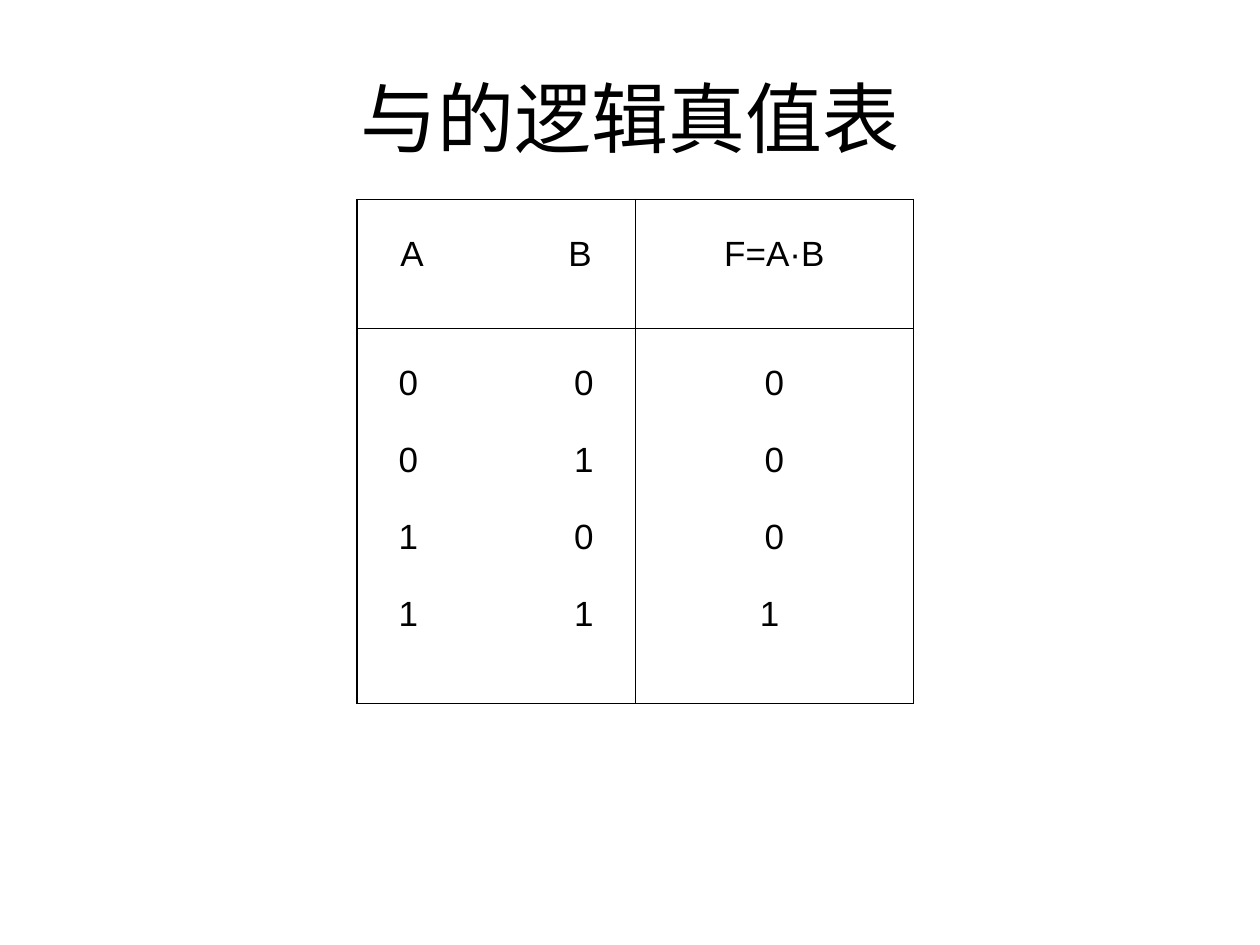
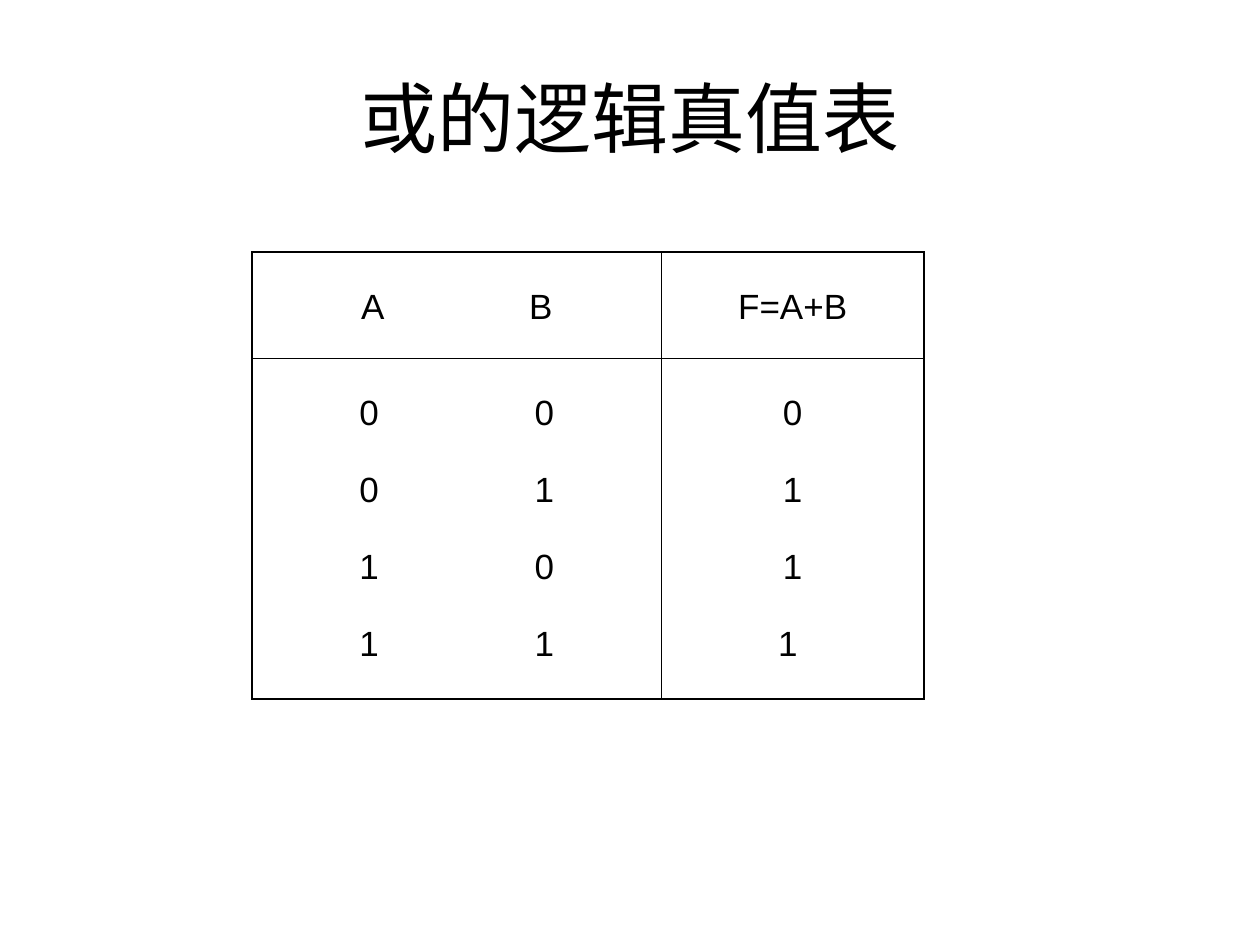
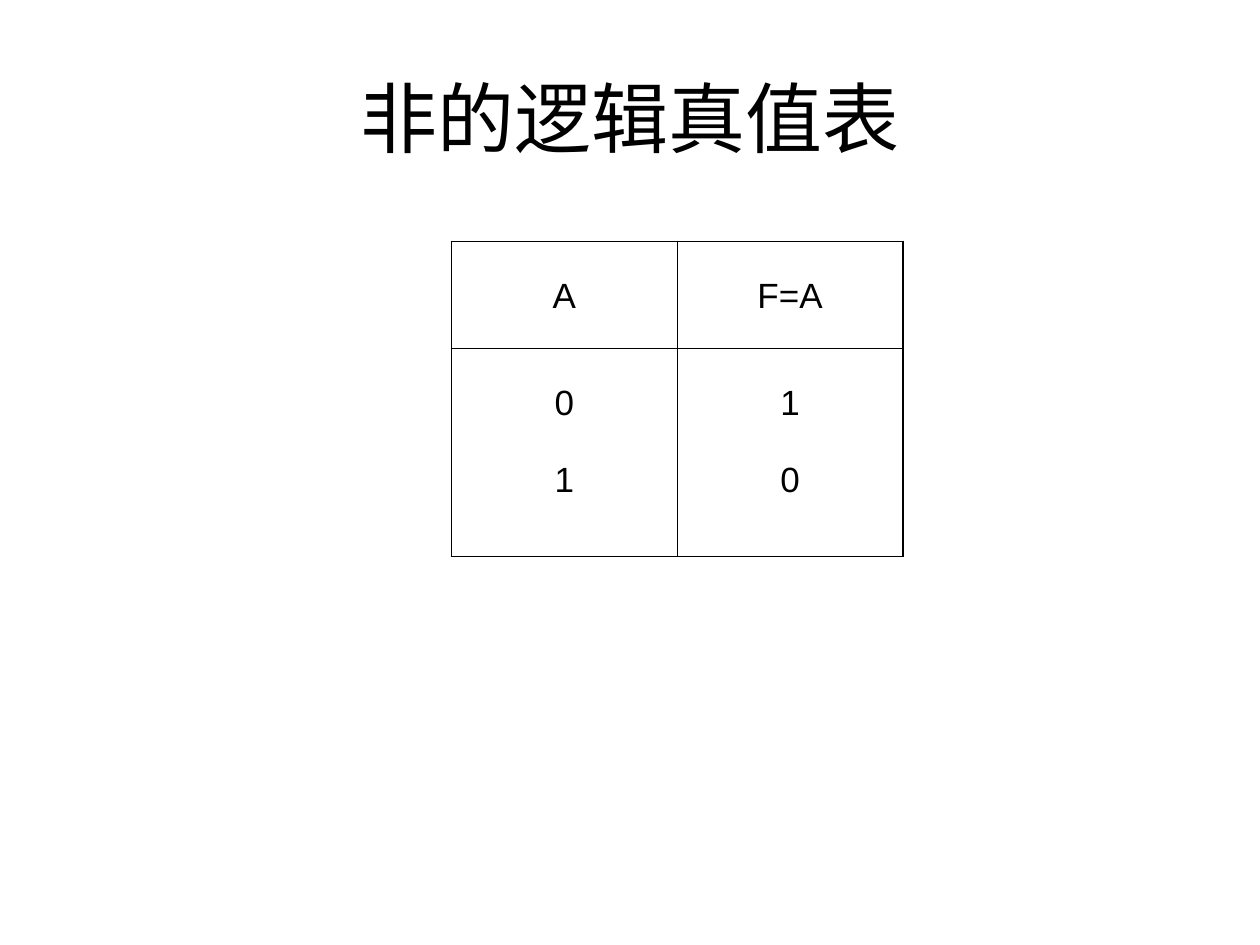
from lxml.etree import SubElement as add_node
from pptx import Presentation
from pptx.dml.color import RGBColor
from pptx.enum.text import MSO_ANCHOR as Anchor, PP_ALIGN as Align
from pptx.oxml.ns import qn
from pptx.util import Inches, Pt

COLORS = {"ink": "000000", "paper": "FFFFFF"}
GRID_COLUMNS, GRID_ROWS = 120, 90
TITLE_AREA = (6, 3.6, 108, 15)
TITLE_SIZE, CELL_SIZE = 44, 20
OUTER_LINE, INNER_LINE = 1.08, 0.45
HEAD_SPREAD, BODY_SPREAD = 8, 8.35
CELL_INSET = 1.2

AB_ROWS = ["\t0\t0", "\t0\t1", "\t1\t0", "\t1\t1"]
TRUTH_TABLES = [
    {"title": "与的逻辑真值表", "corner": (34, 19),
     "columns": (26.5, 26.5), "rows": (12.25, 35.75),
     "heads": ("\tA\tB", "F=A·B"), "values": (AB_ROWS, ["0", "0", "0", "1 "])},
    {"title": "或的逻辑真值表", "corner": (24, 24),
     "columns": (39, 25), "rows": (10.1, 32.5),
     "heads": ("\tA\tB", "F=A+B"), "values": (AB_ROWS, ["0", "1", "1", "1 "])},
    {"title": "非的逻辑真值表", "corner": (43, 23),
     "columns": (21.5, 21.5), "rows": (10.2, 19.8),
     "heads": ("A", "F=A"), "values": (["0", "1"], ["1", "0"])},
]


def assign(target, values):
    for name, value in values.items():
        setattr(target, name, value)


class TruthDeck:
    def __init__(self):
        self.deck = Presentation()
        assign(self.deck, {"slide_width": Inches(10), "slide_height": Inches(7.5)})
        self.page = None

    def across(self, columns):
        return round(self.deck.slide_width * columns / GRID_COLUMNS)

    def down(self, rows):
        return round(self.deck.slide_height * rows / GRID_ROWS)

    def add_page(self):
        self.page = self.deck.slides.add_slide(self.deck.slide_layouts[5])
        fill = self.page.background.fill
        fill.solid()
        fill.fore_color.rgb = RGBColor.from_string(COLORS["paper"])

    def add_span(self, para, text, size):
        span = para.add_run()
        span.text = text
        assign(span.font, {"name": "Arial", "size": Pt(size)})
        span.font.color.rgb = RGBColor.from_string(COLORS["ink"])

    def title(self, text):
        box = self.page.shapes.title
        left, top, width, height = TITLE_AREA
        assign(box, {"left": self.across(left), "top": self.down(top),
                     "width": self.across(width), "height": self.down(height)})
        assign(box.text_frame, {"vertical_anchor": Anchor.MIDDLE, "word_wrap": True})
        para = box.text_frame.paragraphs[0]
        para.alignment = Align.CENTER
        self.add_span(para, text, TITLE_SIZE)

    def center_tabs(self, para, stops):
        tabs = add_node(para._p.get_or_add_pPr(), qn("a:tabLst"))
        for stop in stops:
            add_node(tabs, qn("a:tab"), pos=str(self.across(stop)), algn="ctr")

    def cell_text(self, cell, lines, column_width, spread):
        middle = column_width / 2 - CELL_INSET
        frame = cell.text_frame
        for index, line in enumerate(lines):
            para = frame.add_paragraph() if index else frame.paragraphs[0]
            paired = "\t" in line
            if paired:
                self.center_tabs(para, (middle - spread, middle + spread))
            assign(para, {"alignment": Align.LEFT if paired else Align.CENTER,
                          "line_spacing": 1.75,
                          "space_before": Pt(5 if index else 0)})
            self.add_span(para, line, CELL_SIZE)

    def cell_borders(self, cell, widths):
        properties = cell._tc.get_or_add_tcPr()
        for index, (side, width) in enumerate(widths.items()):
            line = add_node(properties, qn(f"a:ln{side}"), w=str(Pt(width)))
            fill = add_node(line, qn("a:solidFill"))
            add_node(fill, qn("a:srgbClr"), val=COLORS["ink"])
            properties.insert(index, line)

    def truth_table(self, corner, columns, rows, heads, values):
        table = self.page.shapes.add_table(
            len(rows), len(columns), self.across(corner[0]), self.down(corner[1]),
            self.across(sum(columns)), self.down(sum(rows))).table
        assign(table, {"first_row": False, "horz_banding": False})
        for column, width in zip(table.columns, columns):
            column.width = self.across(width)
        for row, height in zip(table.rows, rows):
            row.height = self.down(height)
        for column, width in enumerate(columns):
            contents = (([heads[column]], HEAD_SPREAD), (values[column], BODY_SPREAD))
            for row, (lines, spread) in enumerate(contents):
                cell = table.cell(row, column)
                cell.fill.background()
                edges = {"L": column == 0, "R": column == len(columns) - 1,
                         "T": row == 0, "B": row == len(rows) - 1}
                self.cell_borders(cell, {side: OUTER_LINE if outer else INNER_LINE
                                         for side, outer in edges.items()})
                self.cell_text(cell, lines, width, spread)


def main():
    truth = TruthDeck()
    for content in TRUTH_TABLES:
        layout = dict(content)
        truth.add_page()
        truth.title(layout.pop("title"))
        truth.truth_table(**layout)
    truth.deck.save("out.pptx")


if __name__ == "__main__":
    main()
